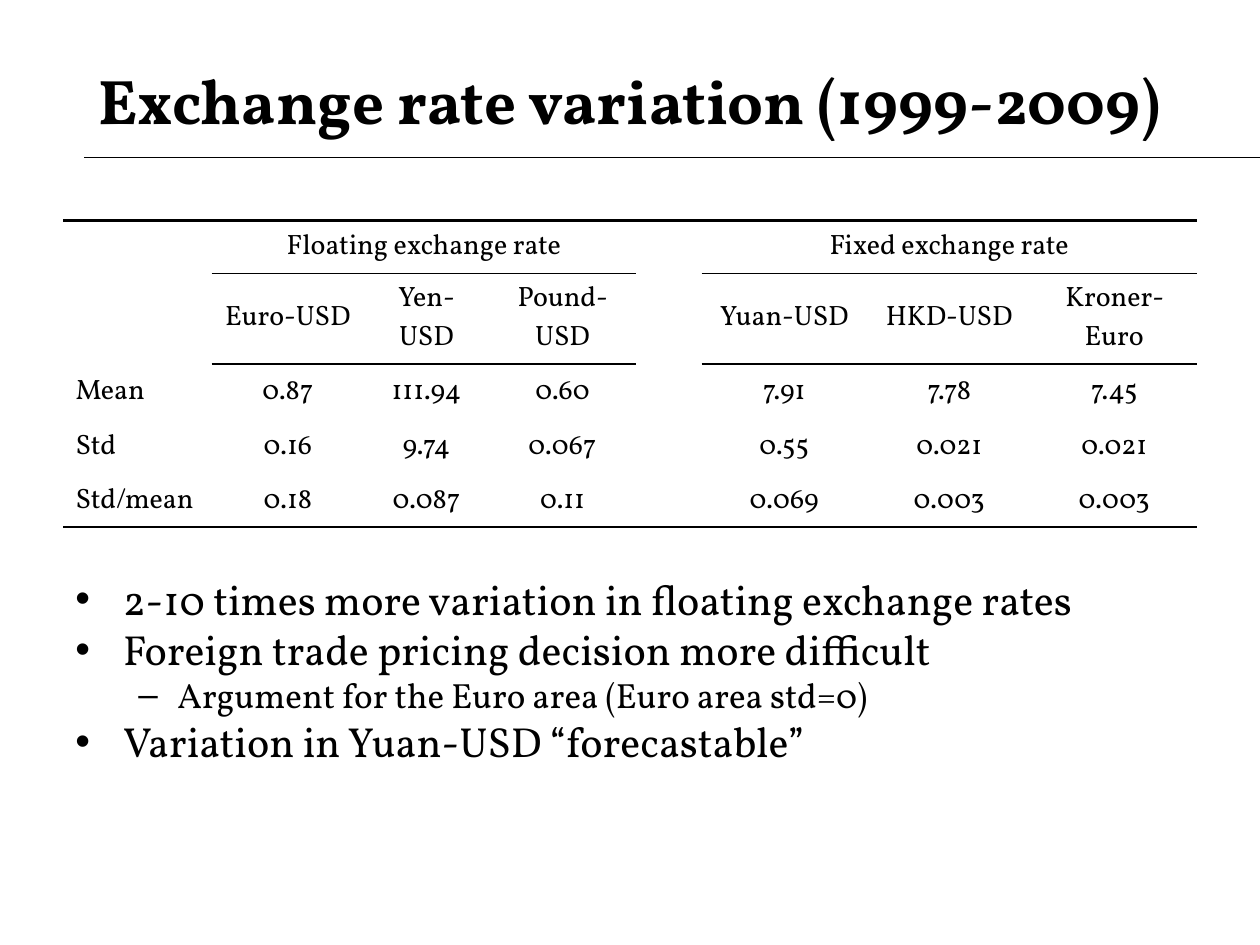
from dataclasses import dataclass
from typing import Optional

from lxml.etree import SubElement
from pptx import Presentation
from pptx.dml.color import RGBColor
from pptx.enum.shapes import MSO_CONNECTOR as Connector
from pptx.enum.text import MSO_ANCHOR as Anchor, MSO_AUTO_SIZE as AutoSize, PP_ALIGN as Align
from pptx.oxml.ns import qn
from pptx.util import Emu, Inches, Pt

FONT = "Vollkorn"
BLACK = "000000"
WIDTH, HEIGHT = Inches(10), Inches(7.5)
MARGIN, CONTENT = 0.05, 0.9

COLUMNS = [1.18, 1.21, 0.99, 1.17, 0.52, 1.31, 1.31, 1.31]
ROWS = [0.42, 0.7, 0.44, 0.44, 0.38]
CELLS = [
    ["", "Floating exchange rate", "", "", "", "Fixed exchange rate", "", ""],
    ["", "Euro-USD", "Yen-USD", "Pound- USD", "", "Yuan-USD", "HKD-USD", "Kroner-Euro"],
    ["Mean", "0.87", "111.94", "0.60", "", "7.91", "7.78", "7.45"],
    ["Std", "0.16", "9.74", "0.067", "", "0.55", "0.021", "0.021"],
    ["Std/mean", "0.18", "0.087", "0.11", "", "0.069", "0.003", "0.003"],
]
GROUPS = [(1, 3), (5, 7)]
GROUPED = {column for first, last in GROUPS for column in range(first, last + 1)}


@dataclass(frozen=True)
class Level:
    mark: str
    size: int
    left: float
    hanging: float


@dataclass(frozen=True)
class Point:
    text: str
    level: int = 0


LEVELS = [Level("•", 24, 0.38, 0.38), Level("–", 20, 0.81, 0.31)]
POINTS = [
    Point("2-10 times more variation in floating exchange rates"),
    Point("Foreign trade pricing decision more difficult"),
    Point("Argument for the Euro area (Euro area std=0)", 1),
    Point("Variation in Yuan-USD “forecastable”"),
]


def color(value: str) -> RGBColor:
    return RGBColor.from_string(value)


def across(share: float) -> Emu:
    return Emu(round(WIDTH * share))


def down(share: float) -> Emu:
    return Emu(round(HEIGHT * share))


def write(paragraph, text: str, size: int, bold: bool = False) -> None:
    run = paragraph.add_run()
    run.text = text
    for name, value in {"name": FONT, "size": Pt(size), "bold": bold}.items():
        setattr(run.font, name, value)
    run.font.color.rgb = color(BLACK)


def add_title(slide, text: str) -> None:
    title = slide.shapes.title
    box = {"left": across(MARGIN), "top": Inches(0.33),
           "width": across(CONTENT), "height": Inches(0.92)}
    for name, value in box.items():
        setattr(title, name, value)
    frame = title.text_frame
    for name, value in {"word_wrap": True, "auto_size": AutoSize.NONE,
                        "vertical_anchor": Anchor.MIDDLE}.items():
        setattr(frame, name, value)
    frame.paragraphs[0].alignment = Align.CENTER
    write(frame.paragraphs[0], text, 36, bold=True)


def add_rule(slide) -> None:
    rule = slide.shapes.add_connector(
        Connector.STRAIGHT, Inches(0.67), down(1 / 6), WIDTH, down(1 / 6))
    rule.line.color.rgb = color(BLACK)
    rule.line.width = Pt(0.75)
    SubElement(rule._element.spPr, qn("a:effectLst"))


def rule_width(edge: int, column: int) -> Optional[float]:
    if edge in (0, len(ROWS)):
        return 1.5
    return 1 if edge in (1, 2) and column in GROUPED else None


def set_border(cell, side: str, width: Optional[float]) -> None:
    line = SubElement(cell._tc.get_or_add_tcPr(), qn(f"a:ln{side}"))
    if width is None:
        SubElement(line, qn("a:noFill"))
        return
    line.set("w", str(Pt(width)))
    fill = SubElement(line, qn("a:solidFill"))
    SubElement(fill, qn("a:srgbClr"), val=BLACK)


def format_cell(cell, row: int, column: int) -> None:
    borders = {"L": None, "R": None, "T": rule_width(row, column),
               "B": rule_width(row + 1, column)}
    for side, width in borders.items():
        set_border(cell, side, width)
    cell.fill.background()
    cell.vertical_anchor = Anchor.MIDDLE
    paragraph = cell.text_frame.paragraphs[0]
    paragraph.alignment = Align.CENTER if column else Align.LEFT
    text = CELLS[row][column]
    if text:
        write(paragraph, text, 16)
    else:
        SubElement(paragraph._p, qn("a:endParaRPr"), sz="1600")


def add_rate_table(slide) -> None:
    table = slide.shapes.add_table(
        len(ROWS), len(COLUMNS), across(MARGIN), Inches(1.75),
        across(CONTENT), Inches(sum(ROWS))).table
    table.first_row = table.horz_banding = False
    for column, width in zip(table.columns, COLUMNS):
        column.width = Inches(width)
    for row, height in zip(table.rows, ROWS):
        row.height = Inches(height)
    for row in range(len(ROWS)):
        for column in range(len(COLUMNS)):
            format_cell(table.cell(row, column), row, column)
    for first, last in GROUPS:
        table.cell(0, first).merge(table.cell(0, last))


def add_point(paragraph, point: Point) -> None:
    level = LEVELS[point.level]
    paragraph.level = point.level
    properties = paragraph._p.get_or_add_pPr()
    properties.set("marL", str(Inches(level.left)))
    properties.set("indent", str(-Inches(level.hanging)))
    SubElement(properties, qn("a:buFont"), typeface="Arial")
    SubElement(properties, qn("a:buChar"), char=level.mark)
    write(paragraph, point.text, level.size)


def add_points(slide) -> None:
    frame = slide.shapes.add_textbox(
        across(MARGIN), down(0.6), across(CONTENT), Inches(2.2)).text_frame
    frame.word_wrap = True
    for index, point in enumerate(POINTS):
        add_point(frame.add_paragraph() if index else frame.paragraphs[0], point)


def main() -> None:
    presentation = Presentation()
    presentation.slide_width, presentation.slide_height = WIDTH, HEIGHT
    slide = presentation.slides.add_slide(presentation.slide_layouts[5])
    add_rule(slide)
    add_title(slide, "Exchange rate variation (1999-2009)")
    add_rate_table(slide)
    add_points(slide)
    presentation.save("out.pptx")


if __name__ == "__main__":
    main()
